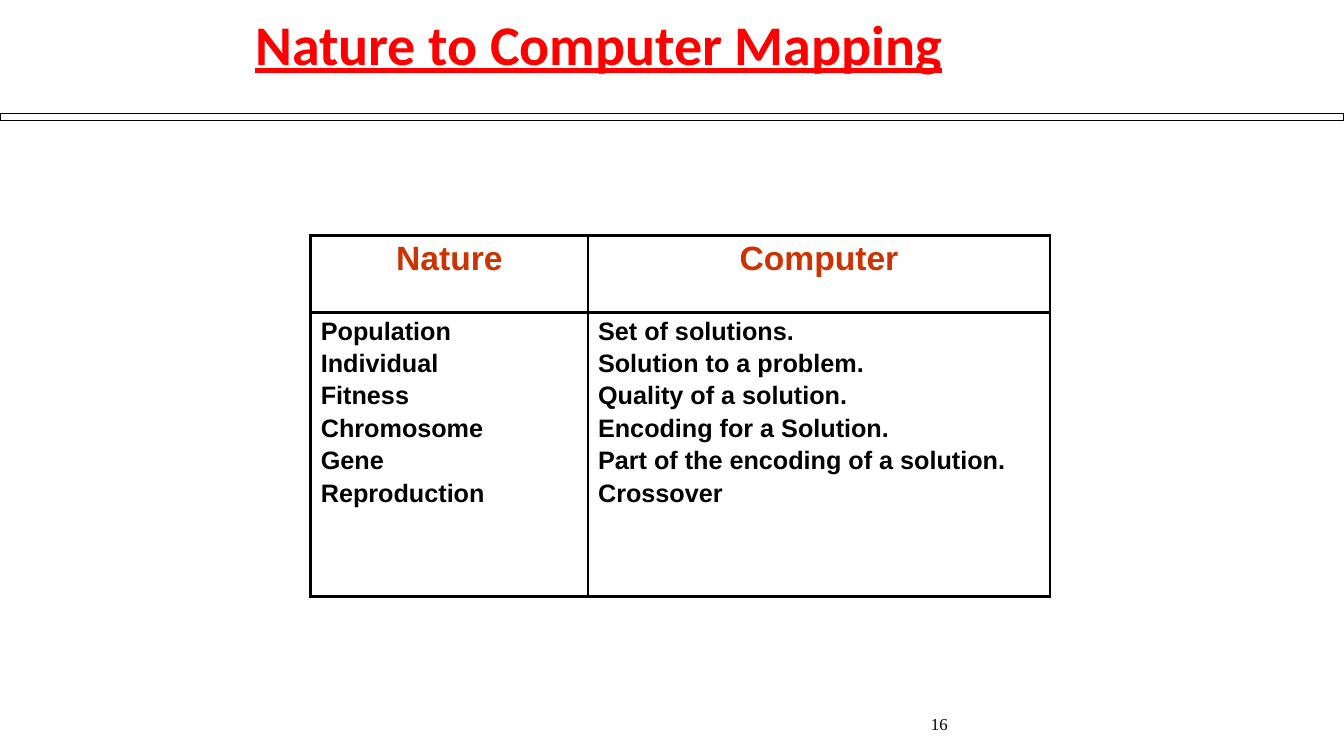
from lxml.etree import SubElement
from pptx import Presentation
from pptx.dml.color import RGBColor
from pptx.enum.shapes import MSO_SHAPE
from pptx.enum.text import MSO_ANCHOR, PP_ALIGN
from pptx.oxml.ns import qn
from pptx.util import Pt

BLACK = RGBColor(0, 0, 0)
RED = RGBColor(0xFF, 0, 0)
RUST = RGBColor(0xCC, 0x33, 0)

THICK, THIN = 2.25, 1
COLUMN_WIDTHS = (198, 330)
ROW_HEIGHTS = (55, 203)
HEADINGS = ("Nature", "Computer")
MAPPING = (
    ("Population", "Set of solutions."),
    ("Individual", "Solution to a problem."),
    ("Fitness", "Quality of a solution."),
    ("Chromosome", "Encoding for a Solution."),
    ("Gene", "Part of the encoding of a solution."),
    ("Reproduction", "Crossover"),
)


def write(frame, lines, font="Arial", size=18, color=BLACK, bold=False,
          underline=False, align=PP_ALIGN.LEFT, before=0):
    """Fill a text frame with one formatted paragraph per line."""
    for index, line in enumerate(lines):
        para = frame.paragraphs[0] if index == 0 else frame.add_paragraph()
        para.alignment = align
        para.space_before = Pt(before)
        span = para.add_run()
        span.text = line
        span.font.name = font
        span.font.size = Pt(size)
        span.font.color.rgb = color
        span.font.bold = bold
        span.font.underline = underline


def add_title(page, text):
    """Place and format the title placeholder."""
    title = page.shapes.title
    title.left, title.top, title.width, title.height = Pt(-42), Pt(6.5), Pt(939), Pt(48)
    frame = title.text_frame
    frame.margin_left = frame.margin_top = frame.margin_right = frame.margin_bottom = 0
    frame.vertical_anchor = MSO_ANCHOR.TOP
    frame.word_wrap = True
    write(frame, [text], font="Calibri", size=40, color=RED, bold=True,
          underline=True, align=PP_ALIGN.CENTER)


def add_rule(page):
    """Draw the hollow bar under the title."""
    bar = page.shapes.add_shape(MSO_SHAPE.RECTANGLE, 0, Pt(81), Pt(960), Pt(5))
    bar.shadow.inherit = False
    bar.fill.background()
    bar.line.color.rgb = BLACK
    bar.line.width = Pt(0.75)


def add_page_number(page, number):
    """Write the page number at the foot of the slide."""
    box = page.shapes.add_textbox(Pt(516), Pt(492), Pt(168), Pt(36))
    box.text_frame.word_wrap = True
    box.text_frame.vertical_anchor = MSO_ANCHOR.BOTTOM
    write(box.text_frame, [number], font="Times New Roman", size=12,
          align=PP_ALIGN.RIGHT)


def set_borders(cell, left, right):
    """Give a cell black borders, thick above and below."""
    properties = cell._tc.get_or_add_tcPr()
    widths = {"a:lnL": left, "a:lnR": right, "a:lnT": THICK, "a:lnB": THICK}
    for position, (tag, width) in enumerate(widths.items()):
        line = SubElement(properties, qn(tag), w=str(Pt(width)))
        fill = SubElement(line, qn("a:solidFill"))
        SubElement(fill, qn("a:srgbClr"), val=str(BLACK))
        properties.insert(position, line)


def add_mapping_table(page):
    """Build the table that pairs nature terms with computer terms."""
    table = page.shapes.add_table(2, 2, Pt(222), Pt(168), Pt(sum(COLUMN_WIDTHS)),
                                  Pt(sum(ROW_HEIGHTS))).table
    table.first_row = table.horz_banding = False
    for row, height in zip(table.rows, ROW_HEIGHTS):
        row.height = Pt(height)
    for index, (heading, terms) in enumerate(zip(HEADINGS, zip(*MAPPING))):
        table.columns[index].width = Pt(COLUMN_WIDTHS[index])
        head, body = table.cell(0, index), table.cell(1, index)
        for cell in (head, body):
            cell.fill.background()
            set_borders(cell, left=THIN if index else THICK,
                        right=THICK if index else THIN)
        write(head.text_frame, [heading], size=24, color=RUST, bold=True,
              align=PP_ALIGN.CENTER, before=4)
        write(body.text_frame, terms, bold=True, before=3)


def main():
    """Build the slide and save the deck."""
    deck = Presentation()
    deck.slide_width, deck.slide_height = Pt(960), Pt(540)
    page = deck.slides.add_slide(deck.slide_layouts[5])
    add_rule(page)
    add_page_number(page, "16")
    add_title(page, "Nature to Computer Mapping")
    add_mapping_table(page)
    deck.save("out.pptx")


if __name__ == "__main__":
    main()
